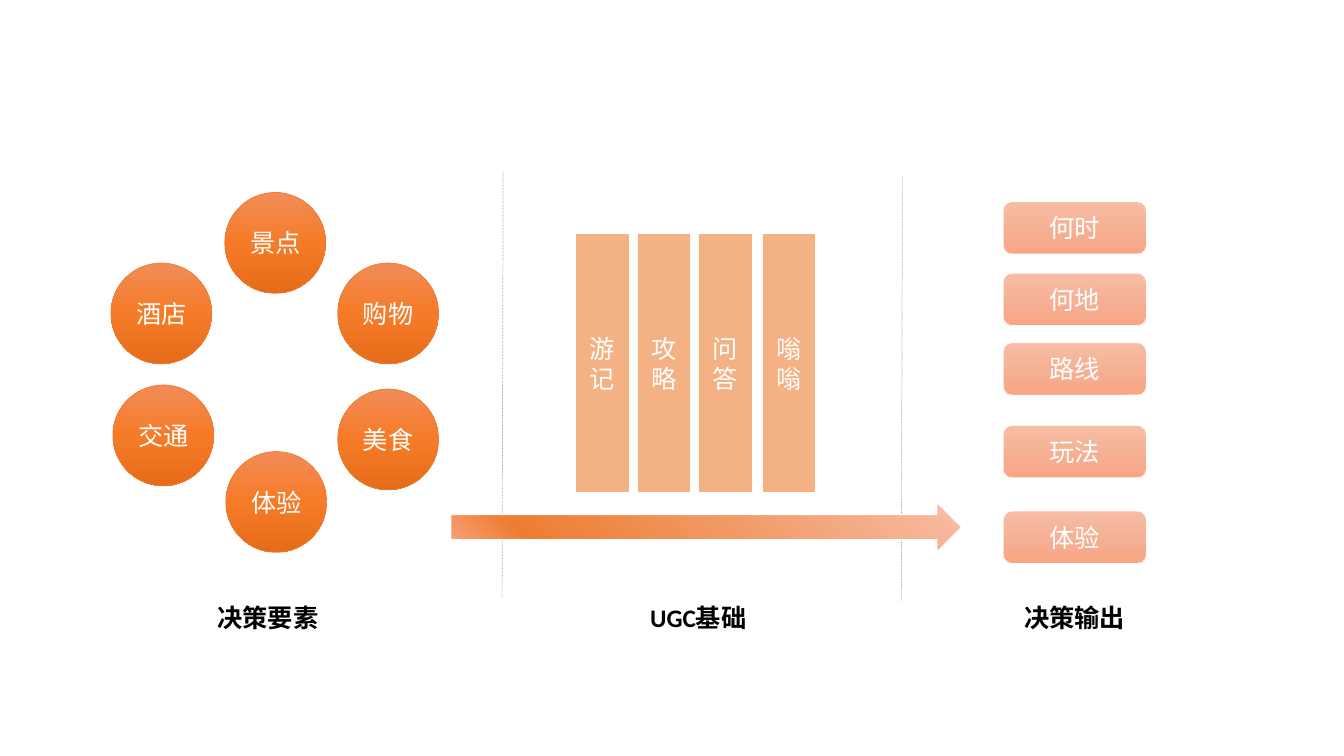
from lxml import etree
from pptx import Presentation
from pptx import util as u
from pptx.dml import color
from pptx.enum import dml, shapes, text
from pptx.oxml import ns

HUES = {
    "white": "FFFFFF", "black": "000000", "gray": "A6A6A6",
    "orange": "ED7D31", "sand": "F4B183",
    "top": "F18C57", "mid": "F67B28", "deep": "E56C19",
    "pale": "F7BDA5", "peach": "F5B196", "coral": "F8A582",
}
BALL = [(0, "top"), (50, "mid"), (100, "deep")]
CARD = [(0, "pale"), (50, "peach"), (100, "coral")]
FLOW = [(0, "pale"), (84, "orange"), (100, "coral")]
KIND = shapes.MSO_SHAPE


class Board:
    cell = 0.1
    font = "Calibri"
    size = 18

    def __init__(self, slide):
        self.slide = slide

    def grid(self, *cells):
        return [u.Inches(n * self.cell) for n in cells]

    def hue(self, name):
        return color.RGBColor.from_string(HUES[name])

    def add_run(self, frame, words, ink, bold=False):
        run = frame.paragraphs[0].add_run()
        run.text = words
        run.font.name = self.font
        run.font.size = u.Pt(self.size)
        run.font.bold = bold
        run.font.color.rgb = self.hue(ink)

    def blend(self, shape, stops, angle):
        shape.fill.gradient()
        shape.fill.gradient_angle = 360 - angle
        row = shape.element.spPr.find(".//" + ns.qn("a:gsLst"))
        for old in list(row):
            row.remove(old)
        for spot, name in stops:
            stop = etree.SubElement(row, ns.qn("a:gs"), pos=str(spot * 1000))
            etree.SubElement(stop, ns.qn("a:srgbClr"), val=HUES[name])

    def block(self, kind, box, fill, edge="white", words="", angle=90, width=0.5):
        shape = self.slide.shapes.add_shape(kind, *self.grid(*box))
        shape.shadow.inherit = False
        if isinstance(fill, str):
            shape.fill.solid()
            shape.fill.fore_color.rgb = self.hue(fill)
        else:
            self.blend(shape, fill, angle)
        shape.line.color.rgb = self.hue(edge)
        shape.line.width = u.Pt(width)
        if words:
            frame = shape.text_frame
            frame.word_wrap = True
            frame.vertical_anchor = text.MSO_ANCHOR.MIDDLE
            frame.paragraphs[0].alignment = text.PP_ALIGN.CENTER
            self.add_run(frame, words, "white")

    def rule(self, *ends):
        line = self.slide.shapes.add_connector(
            shapes.MSO_CONNECTOR.STRAIGHT, *self.grid(*ends))
        line.line.color.rgb = self.hue("gray")
        line.line.width = u.Pt(0.5)
        line.line.dash_style = dml.MSO_LINE.ROUND_DOT
        etree.SubElement(line.element.spPr, ns.qn("a:effectLst"))

    def label(self, left, words):
        box = self.slide.shapes.add_textbox(*self.grid(left, 59.3, 20.3, 4))
        frame = box.text_frame
        frame.word_wrap = True
        frame.auto_size = text.MSO_AUTO_SIZE.SHAPE_TO_FIT_TEXT
        self.add_run(frame, words, "black", True)


def main():
    deck = Presentation()
    deck.slide_width, deck.slide_height = u.Inches(13.33), u.Inches(7.5)
    board = Board(deck.slides.add_slide(deck.slide_layouts[6]))

    for words, left, top in [
        ("景点", 22.3, 19.1), ("购物", 33.5, 26.1), ("酒店", 11, 26.1),
        ("美食", 33.5, 38.6), ("交通", 11.2, 38.2), ("体验", 22.4, 44.8),
    ]:
        board.block(KIND.OVAL, (left, top, 10, 10), BALL, "orange", words)

    for left, top in [(49.9, 17.1), (89.5, 17.5)]:
        board.rule(left, top, left - 0.1, top + 42.2)

    board.block(KIND.RIGHT_ARROW, (44.7, 49.8, 50.7, 5), FLOW, angle=135, width=1)

    for words, top in [
        ("何时", 20), ("何地", 27.1), ("路线", 34), ("玩法", 42.2), ("体验", 50.7),
    ]:
        board.block(KIND.ROUNDED_RECTANGLE, (99.5, top, 14.2, 5.2), CARD, words=words)

    for words, left in [("游记", 57.1), ("攻略", 63.2), ("问答", 69.3), ("嗡嗡", 75.6)]:
        board.block(KIND.RECTANGLE, (left, 23.2, 5.3, 25.7), "sand", words=words)

    for words, left in [("决策要素", 20.6), ("UGC基础", 63.5), ("决策输出", 100.6)]:
        board.label(left, words)

    deck.save("out.pptx")


if __name__ == "__main__":
    main()
